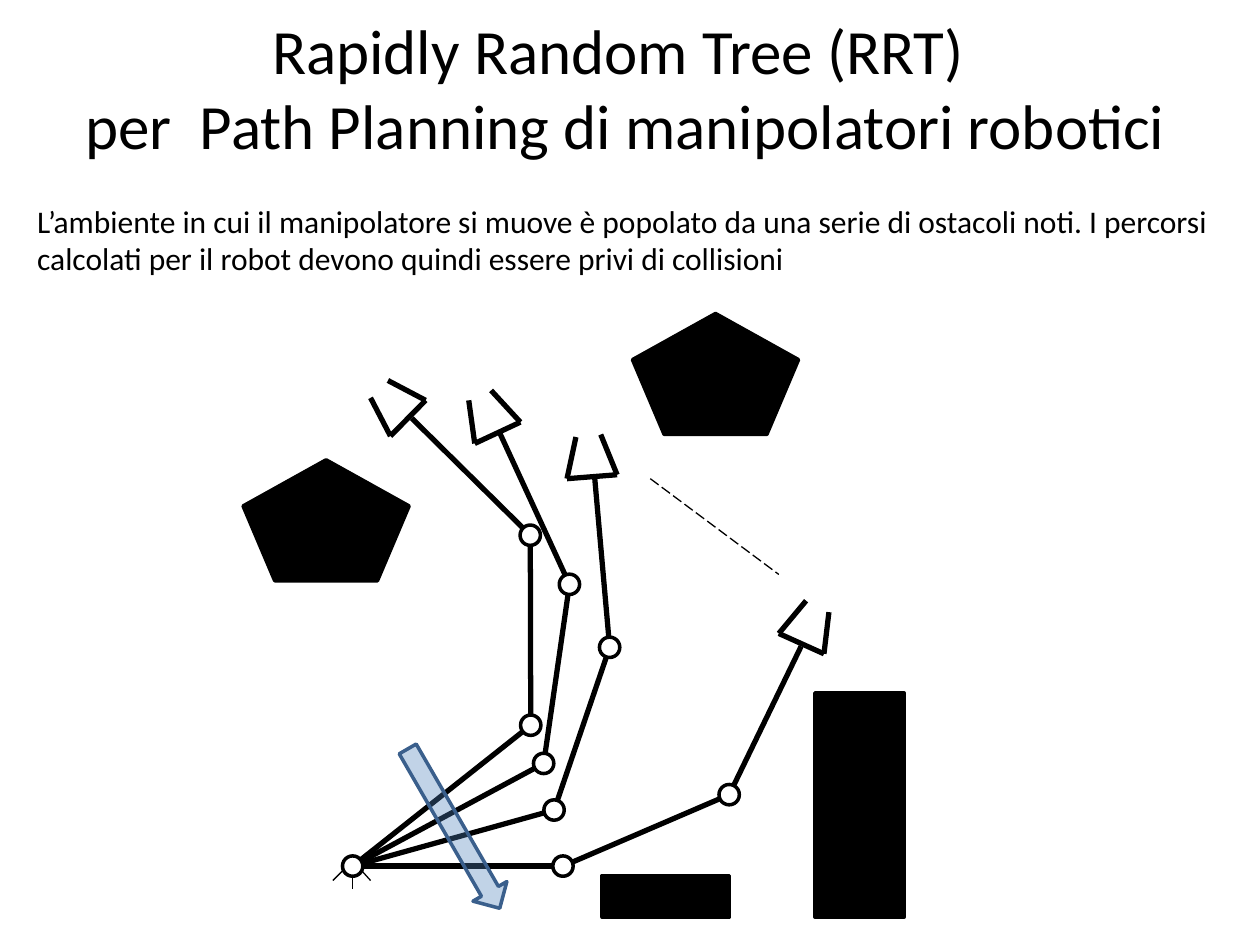
from lxml import etree
from pptx import Presentation
from pptx import util as u
from pptx.dml.color import RGBColor
from pptx.enum import dml, shapes, text
from pptx.oxml import ns

BLACK = RGBColor(0x00, 0x00, 0x00)
WHITE = RGBColor(0xFF, 0xFF, 0xFF)
BLUE = RGBColor(0x4F, 0x81, 0xBD)
DARK_BLUE = RGBColor(0x3A, 0x5F, 0x8C)

FONT = "Calibri"
JOINT_SIZE = 0.41
BASE = (2.21, 11.16)

TITLE = ["Rapidly Random Tree (RRT) ", "per  Path Planning di manipolatori robotici"]
INTRO = [
    "L’ambiente in cui il manipolatore si muove è popolato da una serie di ostacoli noti. "
    "I percorsi calcolati per il robot devono quindi essere privi di collisioni"
]

ARMS = [
    {"links": [(0, 0), (3.59, -2.84), (3.58, -6.67), (1.19, -9.03)],
     "gripper": [(0.36, -9.44), (0.76, -8.67), (1.47, -9.39), (0.71, -9.79)]},
    {"links": [(0, 0), (3.85, -2.07), (4.37, -5.68), (2.97, -8.72)],
     "gripper": [(2.34, -9.39), (2.46, -8.52), (3.38, -8.95), (2.79, -9.59)]},
    {"links": [(0, 0), (4.06, -1.13), (5.18, -4.41), (4.88, -7.81)],
     "gripper": [(4.5, -8.65), (4.32, -7.81), (5.33, -7.89), (5, -8.7)]},
    {"links": [(0, 0), (4.24, 0), (7.59, -1.44), (9.04, -4.43)],
     "gripper": [(9.14, -5.35), (8.59, -4.69), (9.5, -4.28), (9.6, -5.12)]},
]
FEET = [((-0.2, 0.09), (-0.4, 0.29)), ((0, 0.19), (0, 0.47)), ((0.18, 0.09), (0.36, 0.29))]

PENTAGON = shapes.MSO_SHAPE.REGULAR_PENTAGON
RECTANGLE = shapes.MSO_SHAPE.RECTANGLE
OBSTACLES = [
    (PENTAGON, 7.85, 0.02, 3.35, 2.44),
    (PENTAGON, 0, 2.97, 3.35, 2.44),
    (RECTANGLE, 11.53, 7.67, 1.8, 4.52),
    (RECTANGLE, 7.24, 11.35, 2.57, 0.84),
]


def add_text(page, left, top, width, height, lines, size, align):
    """Write one paragraph per line in a wrapped text box."""
    box = page.shapes.add_textbox(u.Cm(left), u.Cm(top), u.Cm(width), u.Cm(height))
    frame = box.text_frame
    frame.word_wrap = True
    for index, line in enumerate(lines):
        para = frame.add_paragraph() if index else frame.paragraphs[0]
        para.alignment = align
        span = para.add_run()
        span.text = line
        for name, value in {"name": FONT, "size": u.Pt(size)}.items():
            setattr(span.font, name, value)
        span.font.color.rgb = BLACK


def add_line(parent, origin, start, end, width, dash=None):
    """Draw a black line between two points measured from the origin."""
    ends = [u.Cm(o + p) for point in (start, end) for o, p in zip(origin, point)]
    line = parent.shapes.add_connector(shapes.MSO_CONNECTOR.STRAIGHT, *ends)
    for name, value in {"width": u.Pt(width), "dash_style": dash}.items():
        setattr(line.line, name, value)
    line.line.color.rgb = BLACK
    etree.SubElement(line._element.spPr, ns.qn("a:effectLst"))


def add_figure(parent, kind, left, top, width, height, fill, outline):
    """Place a filled preset shape with a 2 pt outline."""
    figure = parent.shapes.add_shape(kind, u.Cm(left), u.Cm(top), u.Cm(width), u.Cm(height))
    figure.shadow.inherit = False
    figure.fill.solid()
    figure.fill.fore_color.rgb = fill
    figure.line.color.rgb = outline
    figure.line.width = u.Pt(2)
    return figure


def add_joint(parent, origin, centre):
    """Draw a round joint about its centre."""
    left, top = (o + c - JOINT_SIZE / 2 for o, c in zip(origin, centre))
    add_figure(parent, shapes.MSO_SHAPE.OVAL, left, top, JOINT_SIZE, JOINT_SIZE, WHITE, BLACK)


def add_arm(page, origin, links, gripper):
    """Draw one arm pose as a group of links, gripper and joints."""
    group = page.shapes.add_group_shape()
    for chain in (links, gripper):
        for start, end in zip(chain, chain[1:]):
            add_line(group, origin, start, end, 3)
    for centre in links[1:-1]:
        add_joint(group, origin, centre)


def add_base(page, origin):
    """Draw the fixed base joint with its feet."""
    for start, end in FEET:
        add_line(page, origin, start, end, 0.75)
    add_joint(page, origin, (0, 0))


def add_motion_arrow(page, left, top):
    """Draw the translucent arrow that shows the direction of motion."""
    arrow = add_figure(page, shapes.MSO_SHAPE.RIGHT_ARROW, left, top, 3.71, 0.79, BLUE, DARK_BLUE)
    arrow.rotation = 60
    colour = arrow._element.spPr.find(ns.qn("a:solidFill"))[0]
    etree.SubElement(colour, ns.qn("a:alpha"), val="35000")


def add_scene(page, left, top):
    """Draw the arm poses, their motion and the obstacles."""
    origin = (left + BASE[0], top + BASE[1])
    for arm in ARMS:
        add_arm(page, origin, **arm)
    add_base(page, origin)
    add_line(page, (left, top), (8.21, 3.35), (10.8, 5.28), 0.75, dml.MSO_LINE.LONG_DASH)
    add_motion_arrow(page, left + 2.39, top + 10.01)
    for kind, x, y, width, height in OBSTACLES:
        add_figure(page, kind, left + x, top + y, width, height, BLACK, BLACK)


def main():
    """Build the slide and save the deck."""
    deck = Presentation()
    deck.slide_width, deck.slide_height = u.Cm(25.4), u.Cm(19.05)
    page = deck.slides.add_slide(deck.slide_layouts[6])
    add_text(page, 0.3, 0.1, 24.61, 3.33, TITLE, 36, text.PP_ALIGN.CENTER)
    add_text(page, 0.5, 3.94, 24.23, 1.8, INTRO, 18, text.PP_ALIGN.LEFT)
    add_scene(page, 4.9, 6.3)
    deck.save("out.pptx")


if __name__ == "__main__":
    main()
